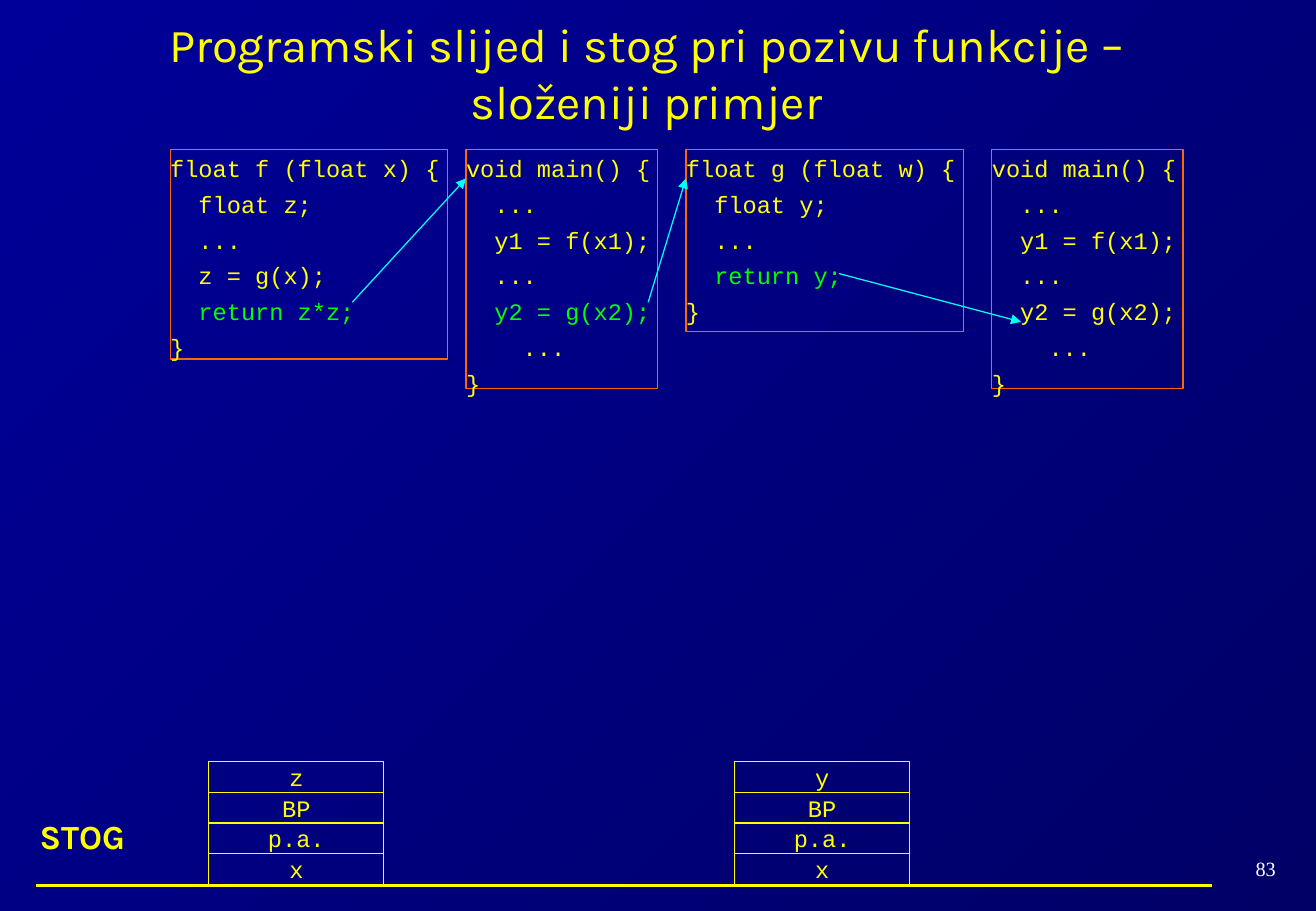
from dataclasses import dataclass

from lxml import etree
from pptx import Presentation
from pptx import util as u
from pptx.dml.color import RGBColor
from pptx.enum import shapes, text
from pptx.oxml import ns


@dataclass(frozen=True)
class Theme:
    yellow: RGBColor = RGBColor(0xFF, 0xFF, 0x00)
    orange: RGBColor = RGBColor(0xFF, 0x66, 0x00)
    green: RGBColor = RGBColor(0x00, 0xFF, 0x00)
    cyan: RGBColor = RGBColor(0x00, 0xFF, 0xFF)
    white: RGBColor = RGBColor(0xFF, 0xFF, 0xFF)
    light_blue: RGBColor = RGBColor(0x00, 0x00, 0x99)
    dark_blue: RGBColor = RGBColor(0x00, 0x00, 0x66)
    heading_font: str = "Karla"
    code_font: str = "Courier New"
    number_font: str = "Times New Roman"
    title_size: int = 28
    label_size: int = 20
    code_size: int = 14
    number_size: int = 12
    code_gap: float = 4.4
    thin: float = 0.75
    thick: float = 2


@dataclass(frozen=True)
class CodeBlock:
    left: float
    width: float
    height: float
    lines: tuple[str, ...]
    current: str = ""


@dataclass(frozen=True)
class Stack:
    left: float
    cells: tuple[str, ...]


@dataclass(frozen=True)
class Line:
    start: tuple[float, float]
    end: tuple[float, float]
    color: RGBColor
    width: float
    arrow: bool = True


@dataclass(frozen=True)
class Label:
    content: str
    left: float
    top: float
    width: float
    height: float
    font: str
    size: int
    color: RGBColor
    bold: bool = False
    align: text.PP_ALIGN = text.PP_ALIGN.CENTER
    anchor: text.MSO_ANCHOR = text.MSO_ANCHOR.MIDDLE
    wrap: bool = True


THEME = Theme()
CODE_TOP = 3.12
STACK_TOP, CELL_WIDTH, CELL_HEIGHT = 15.93, 3.66, 0.64

MAIN_LINES = ("void main() {", "  ...", "  y1 = f(x1);", "  ...",
              "  y2 = g(x2);", "    ...", "}")
CODE_BLOCKS = (
    CodeBlock(3.56, 5.8, 4.39,
              ("float f (float x) {", "  float z;", "  ...", "  z = g(x);",
               "  return z*z;", "}"), "return z*z;"),
    CodeBlock(9.75, 4, 5, MAIN_LINES, "y2 = g(x2);"),
    CodeBlock(14.35, 5.8, 3.81,
              ("float g (float w) {", "  float y;", "  ...", "  return y;",
               "}"), "return y;"),
    CodeBlock(20.75, 4, 5, MAIN_LINES),
)
STACKS = (
    Stack(4.37, ("z", "BP", "p.a.", "x")),
    Stack(15.37, ("y", "BP", "p.a.", "x")),
)
LINES = (
    Line((0.76, 18.52), (25.35, 18.52), THEME.yellow, THEME.thick, False),
    Line((7.37, 6.32), (9.75, 3.73), THEME.cyan, THEME.thin),
    Line((13.56, 6.32), (14.35, 3.73), THEME.cyan, THEME.thin),
    Line((17.55, 5.72), (21.36, 6.73), THEME.cyan, THEME.thin),
)
LABELS = (
    Label("Programski slijed i stog pri pozivu funkcije – složeniji primjer",
          1.37, 0.64, 24.3, 2.1, THEME.heading_font, THEME.title_size,
          THEME.yellow, anchor=text.MSO_ANCHOR.BOTTOM),
    Label("STOG", 0.58, 16.92, 2.4, 1.12, THEME.heading_font,
          THEME.label_size, THEME.yellow, bold=True,
          align=text.PP_ALIGN.LEFT, wrap=False),
    Label("83", 25.45, 17.78, 2.06, 0.76, THEME.number_font,
          THEME.number_size, THEME.white),
)


def style_font(font, name: str, size: int, color: RGBColor,
               bold: bool = False) -> None:
    font.name, font.size, font.bold = name, u.Pt(size), bold
    font.color.rgb = color


def set_margins(frame, side: float, top: float, bottom: float) -> None:
    frame.margin_left = frame.margin_right = u.Cm(side)
    frame.margin_top, frame.margin_bottom = u.Cm(top), u.Cm(bottom)


def add_frame(parent, left: float, top: float, width: float, height: float,
              color: RGBColor):
    """Add an unfilled, outlined rectangle without text margins."""
    box = parent.add_shape(shapes.MSO_SHAPE.RECTANGLE, u.Cm(left), u.Cm(top),
                           u.Cm(width), u.Cm(height))
    box.shadow.inherit = False
    box.fill.background()
    box.line.color.rgb = color
    box.line.width = u.Pt(THEME.thin)
    set_margins(box.text_frame, 0, 0, 0)
    return box


def add_code(page, block: CodeBlock) -> None:
    """Draw a listing with its current statement in green."""
    box = add_frame(page.shapes, block.left, CODE_TOP, block.width,
                    block.height, THEME.orange)
    frame = box.text_frame
    frame.margin_top = u.Cm(0.1)
    frame.vertical_anchor = text.MSO_ANCHOR.TOP
    frame.text = "\n".join(block.lines)
    for index, para in enumerate(frame.paragraphs):
        para.alignment = text.PP_ALIGN.LEFT
        para.space_before = u.Pt(THEME.code_gap if index else 0)
        current = bool(block.current) and para.text.endswith(block.current)
        if current:
            para.text = para.text.removesuffix(block.current)
            para.add_run().text = block.current
        for span in para.runs:
            style_font(span.font, THEME.code_font, THEME.code_size,
                       THEME.green if current else THEME.yellow)


def add_stack(page, stack: Stack) -> None:
    group = page.shapes.add_group_shape()
    for row, name in enumerate(stack.cells):
        box = add_frame(group.shapes, stack.left, STACK_TOP + row * CELL_HEIGHT,
                        CELL_WIDTH, CELL_HEIGHT, THEME.yellow)
        box.text_frame.text = name
        box.text_frame.vertical_anchor = text.MSO_ANCHOR.MIDDLE
        para = box.text_frame.paragraphs[0]
        para.alignment = text.PP_ALIGN.CENTER
        style_font(para.runs[0].font, THEME.code_font, THEME.code_size,
                   THEME.yellow)


def add_line(page, line: Line) -> None:
    connector = page.shapes.add_connector(
        shapes.MSO_CONNECTOR.STRAIGHT,
        *(u.Cm(value) for value in line.start + line.end))
    connector.line.color.rgb = line.color
    connector.line.width = u.Pt(line.width)
    if line.arrow:
        etree.SubElement(connector.line._get_or_add_ln(), ns.qn("a:tailEnd"),
                         type="triangle")
    etree.SubElement(connector._element.spPr, ns.qn("a:effectLst"))


def add_label(page, label: Label) -> None:
    box = page.shapes.add_textbox(u.Cm(label.left), u.Cm(label.top),
                                  u.Cm(label.width), u.Cm(label.height))
    frame = box.text_frame
    frame.text = label.content
    frame.word_wrap = label.wrap
    frame.vertical_anchor = label.anchor
    set_margins(frame, 0.25, 0.05, 0.05)
    para = frame.paragraphs[0]
    para.alignment = label.align
    style_font(para.runs[0].font, label.font, label.size, label.color,
               label.bold)


def paint_background(page) -> None:
    fill = page.background.fill
    fill.gradient()
    fill.gradient_angle = 315
    for stop, color in zip(fill.gradient_stops,
                           (THEME.light_blue, THEME.dark_blue)):
        stop.color.rgb = color


def main() -> None:
    deck = Presentation()
    deck.slide_width, deck.slide_height = u.Cm(27.53), u.Cm(19.05)
    page = deck.slides.add_slide(deck.slide_layouts[6])
    paint_background(page)
    for label in LABELS:
        add_label(page, label)
    for block in CODE_BLOCKS:
        add_code(page, block)
    for stack in STACKS:
        add_stack(page, stack)
    for line in LINES:
        add_line(page, line)
    deck.save("out.pptx")


if __name__ == "__main__":
    main()
